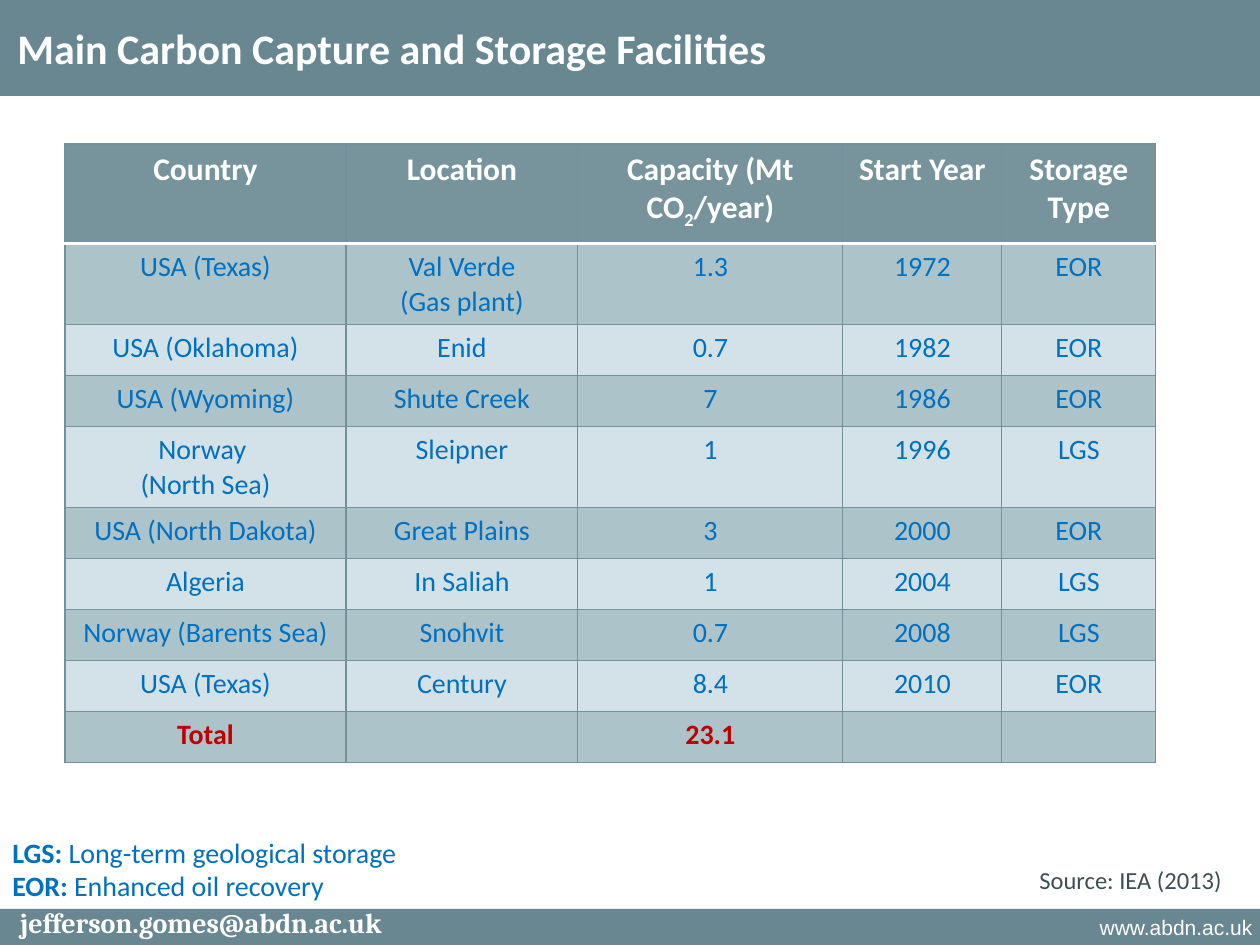
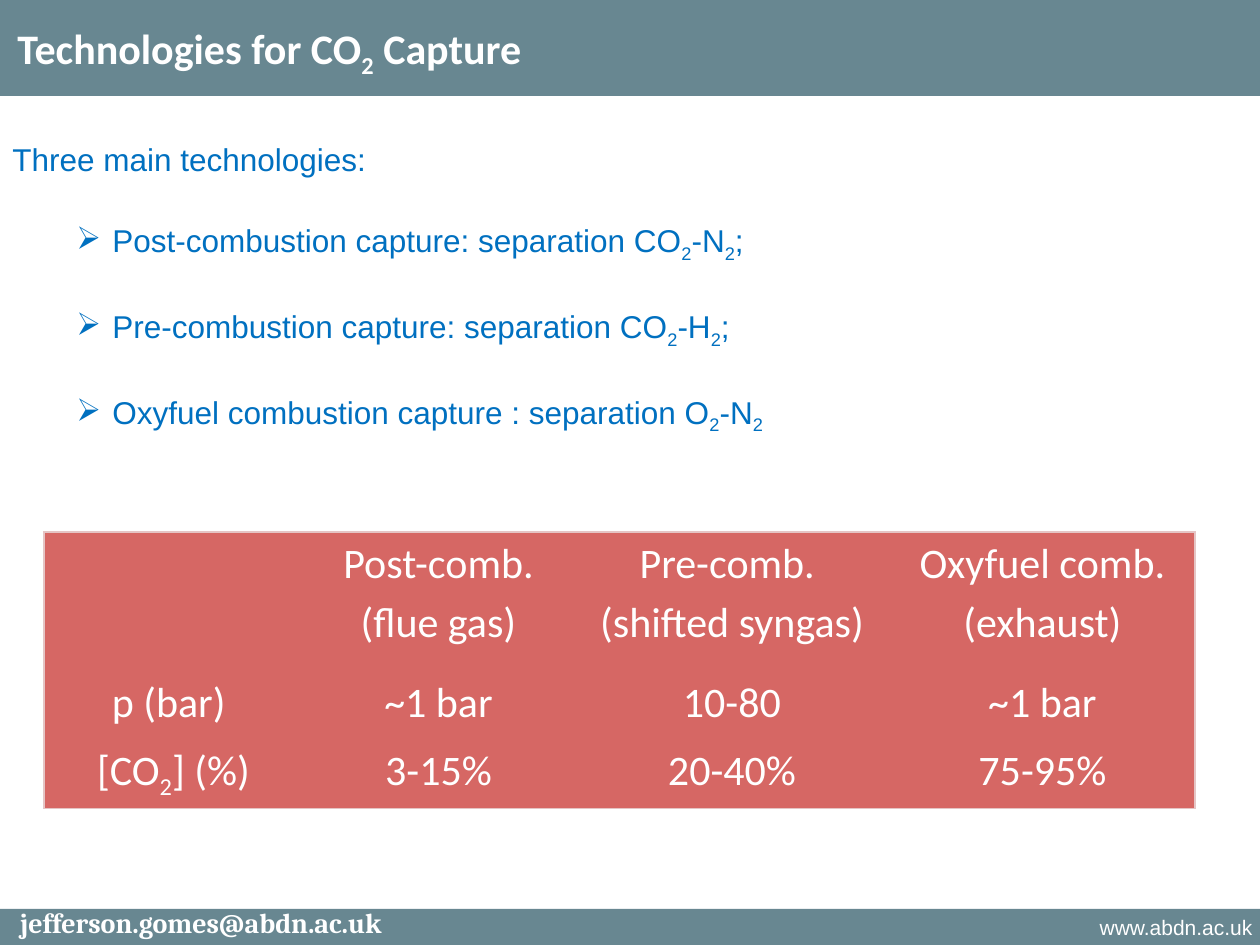
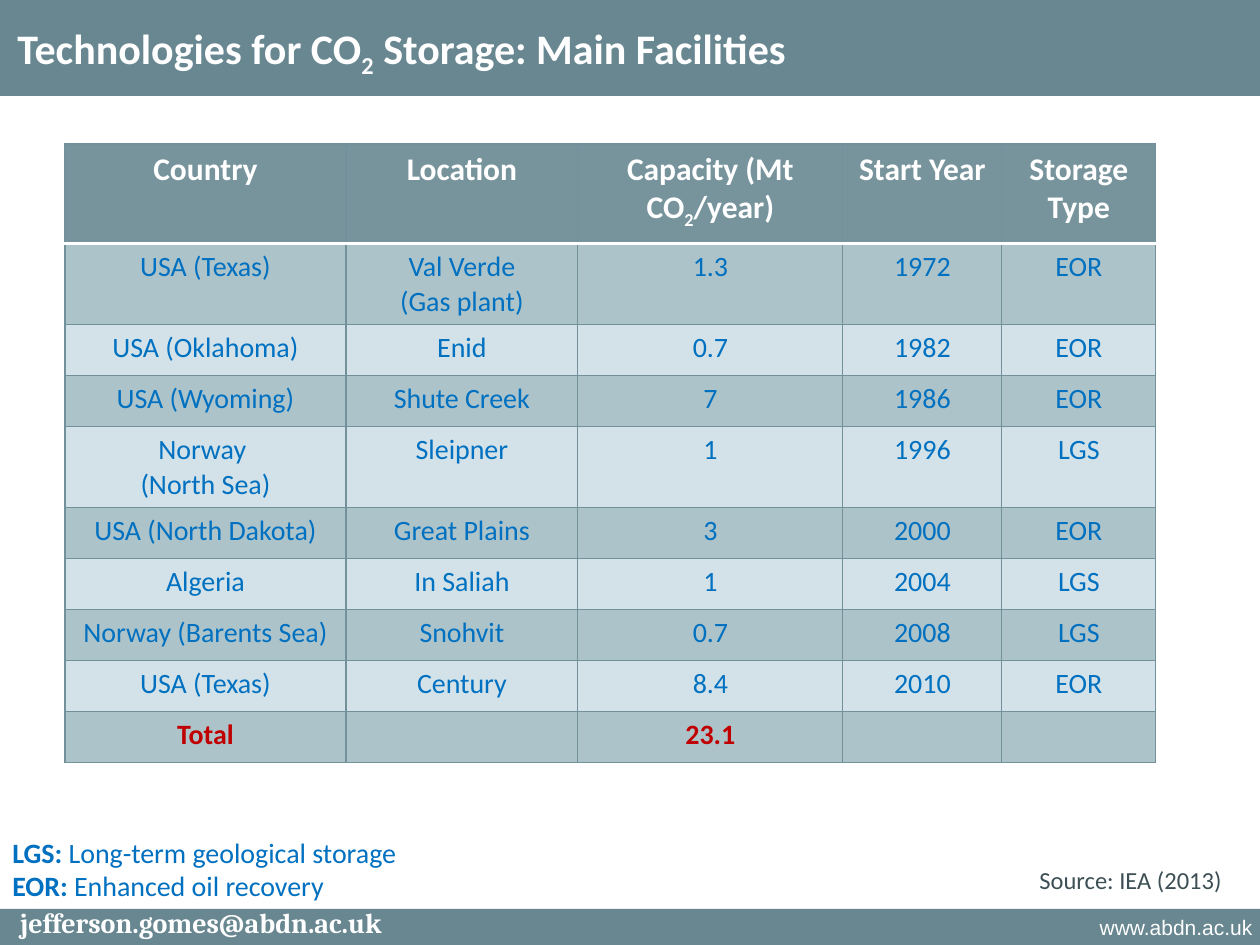
from lxml import etree
from pptx import Presentation
from pptx.dml.color import RGBColor
from pptx.enum import shapes, text
from pptx.oxml.ns import qn
from pptx.util import Emu, Pt

EMU_PER_PX = 914400 / 126
SLIDE_W, SLIDE_H = 1260, 945

BAND, HEADER, GRID = "688791", "77949D", "73919A"
DARK_ROW, LIGHT_ROW = "ADC3CA", "D2E2E8"
WHITE, BLUE, RED, SLATE = "FFFFFF", "0070C0", "C00000", "3D4F55"
CORAL, PINK = "D66764", "E5C5C5"
PLAIN_TABLE_STYLE = "{2D5ABB26-0587-4C30-8999-92F81FD0307C}"

TITLE = {"name": "Calibri", "size": 24, "color": WHITE, "bold": True}
WEB = {"name": "Arial", "size": 12, "color": WHITE}
EMAIL = {"name": "Cambria", "size": 16, "color": WHITE, "bold": True}
LEGEND = {"name": "Calibri", "size": 16, "color": BLUE}
SOURCE = {"name": "Calibri", "size": 14, "color": SLATE}
BODY = {"name": "Arial", "size": 18, "color": BLUE}
COLUMN_HEAD = {"name": "Calibri", "size": 18, "color": WHITE, "bold": True}
FACILITY = {"name": "Calibri", "size": 16, "color": BLUE, "bold": False}
TOTAL = {"name": "Calibri", "size": 16, "color": RED, "bold": True}
CONDITION = {"name": "Calibri", "size": 24, "color": WHITE}

FACILITIES = [
    ("Country", "Location", "Capacity (Mt CO_2_/year)", "Start Year", "Storage Type"),
    ("USA (Texas)", "Val Verde\n(Gas plant)", "1.3", "1972", "EOR"),
    ("USA (Oklahoma)", "Enid", "0.7", "1982", "EOR"),
    ("USA (Wyoming)", "Shute Creek", "7", "1986", "EOR"),
    ("Norway \n(North Sea)", "Sleipner", "1", "1996", "LGS"),
    ("USA (North Dakota)", "Great Plains", "3", "2000", "EOR"),
    ("Algeria", "In Saliah", "1", "2004", "LGS"),
    ("Norway (Barents Sea)", "Snohvit", "0.7", "2008", "LGS"),
    ("USA (Texas)", "Century", "8.4", "2010", "EOR"),
    ("Total", "", "23.1", "", ""),
]
CONDITIONS = [
    ("", "Post-comb.\n(flue gas)", "Pre-comb. \n(shifted syngas)", "Oxyfuel comb.\n(exhaust)"),
    ("p (bar) ", "~1 bar", "10-80", "~1 bar"),
    ("[CO_2_] (%)", "3-15%", "20-40%", "75-95%"),
]
CAPTURE_ROUTES = [
    "Post-combustion capture: separation CO_2_-N_2_;",
    "Pre-combustion capture: separation CO_2_-H_2_;",
    "Oxyfuel combustion capture : separation O_2_-N_2_",
]


def px(length):
    return Emu(round(length * EMU_PER_PX))


def rgb(value):
    return RGBColor.from_string(value)


def add_runs(paragraph, content, style):
    """Add runs; parts between underscores become subscripts."""
    for index, part in enumerate(content.split("_")):
        if not part:
            continue
        run = paragraph.add_run()
        run.text = part
        for key, value in style.items():
            if key == "color":
                run.font.color.rgb = rgb(value)
            else:
                setattr(run.font, key, Pt(value) if key == "size" else value)
        if index % 2:
            run._r.get_or_add_rPr().set("baseline", "-25000")


def add_paragraph(frame, first, **layout):
    paragraph = frame.paragraphs[0] if first else frame.add_paragraph()
    for key, value in layout.items():
        setattr(paragraph, key, value)
    return paragraph


def add_frame(slide, left, top, width, height, wrap=False):
    frame = slide.shapes.add_textbox(px(left), px(top), px(width), px(height)).text_frame
    frame.word_wrap = wrap
    return frame


def add_label(slide, box, content, style, wrap=False, **layout):
    frame = add_frame(slide, *box, wrap=wrap)
    add_runs(add_paragraph(frame, True, **layout), content, style)


def add_band(slide, top, height):
    band = slide.shapes.add_shape(
        shapes.MSO_SHAPE.RECTANGLE, 0, px(top), px(SLIDE_W), px(height))
    band.shadow.inherit = False
    band.fill.solid()
    band.fill.fore_color.rgb = rgb(BAND)
    band.line.fill.background()


def start_slide(deck, title):
    """Add a slide with its bands, title and footer."""
    slide = deck.slides.add_slide(deck.slide_layouts[6])
    add_band(slide, 909, SLIDE_H - 909)
    add_band(slide, 0, 96)
    add_label(slide, (937, 908, 328, 45), "www.abdn.ac.uk", WEB,
              wrap=True, alignment=text.PP_ALIGN.RIGHT)
    add_label(slide, (0, 903, 402, 42), "jefferson.gomes@abdn.ac.uk", EMAIL,
              wrap=True, alignment=text.PP_ALIGN.CENTER, line_spacing=0.9)
    add_label(slide, (5, 16, 800, 63), title, TITLE)
    return slide


def set_borders(cell, borders):
    """Draw the sides in borders, given as side: (colour, points)."""
    properties = cell._tc.get_or_add_tcPr()
    for side in "LRTB":
        if side in borders:
            color, points = borders[side]
            line = etree.SubElement(properties, qn(f"a:ln{side}"), w=str(Pt(points)))
            fill = etree.SubElement(line, qn("a:solidFill"))
            etree.SubElement(fill, qn("a:srgbClr"), val=color)


def fill_cell(cell, content, style, color, borders, gap):
    set_borders(cell, borders)
    cell.fill.solid()
    cell.fill.fore_color.rgb = rgb(color)
    for index, line in enumerate(content.split("\n")):
        paragraph = add_paragraph(cell.text_frame, index == 0,
                                  alignment=text.PP_ALIGN.CENTER)
        if index:
            paragraph.space_before = Pt(gap)
        add_runs(paragraph, line, style)


def add_grid(slide, left, top, widths, heights, rows, look, gap=0):
    """Add a table; look(row, column) gives text style, fill and borders."""
    table = slide.shapes.add_table(
        len(rows), len(widths), px(left), px(top), px(sum(widths)), px(sum(heights))).table
    table.first_row = table.horz_banding = False
    table._tbl.tblPr.find(qn("a:tableStyleId")).text = PLAIN_TABLE_STYLE
    for column, width in zip(table.columns, widths):
        column.width = px(width)
    for row, height in zip(table.rows, heights):
        row.height = px(height)
    for r, row in enumerate(rows):
        for c, content in enumerate(row):
            fill_cell(table.cell(r, c), content, *look(r, c), gap)


def facility_look(row, column):
    borders = dict.fromkeys("LRTB", (GRID, 0.75))
    if row == 0:
        return COLUMN_HEAD, HEADER, borders | {"B": (WHITE, 2)}
    if row == 1:
        borders["T"] = (WHITE, 2)
    style = TOTAL if row == len(FACILITIES) - 1 else FACILITY
    return style, DARK_ROW if row % 2 else LIGHT_ROW, borders


def condition_look(row, column):
    outer = {
        "L": column == 0,
        "R": column == len(CONDITIONS[0]) - 1,
        "T": row == 0,
        "B": row == len(CONDITIONS) - 1,
    }
    return CONDITION, CORAL, {side: (PINK, 0.75) for side, edge in outer.items() if edge}


def add_facilities_slide(deck, title):
    slide = start_slide(deck, title)
    heights = [100] + [81 if "\n" in "".join(row) else 51 for row in FACILITIES[1:]]
    add_grid(slide, 65, 144, [281, 232, 265, 159, 154], heights, FACILITIES, facility_look)
    legend = add_frame(slide, 0, 829, 413, 81)
    meanings = {"LGS:": " Long-term geological storage", "EOR:": " Enhanced oil recovery"}
    for index, (code, meaning) in enumerate(meanings.items()):
        paragraph = add_paragraph(legend, index == 0)
        add_runs(paragraph, code, LEGEND | {"bold": True})
        add_runs(paragraph, meaning, LEGEND)
    add_label(slide, (1027, 859, 209, 43), "Source: IEA (2013)", SOURCE)


def add_bullet(paragraph):
    properties = paragraph._p.get_or_add_pPr()
    properties.set("marL", str(px(100)))
    properties.set("indent", str(px(-36)))
    etree.SubElement(properties, qn("a:buChar"), char="➢")


def add_capture_slide(deck):
    slide = start_slide(deck, "Technologies for CO_2_ Capture")
    routes = add_frame(slide, 0, 96, SLIDE_W, 318, wrap=True)
    add_runs(add_paragraph(routes, True, line_spacing=2.0), "Three main technologies:", BODY)
    for route in CAPTURE_ROUTES:
        paragraph = add_paragraph(routes, False, level=1, line_spacing=2.0)
        add_bullet(paragraph)
        add_runs(paragraph, route, BODY)
    add_grid(slide, 44, 532, [259, 271, 316, 305], [139, 68, 68],
             CONDITIONS, condition_look, gap=4.8)


def main():
    deck = Presentation()
    deck.slide_width, deck.slide_height = px(SLIDE_W), px(SLIDE_H)
    add_facilities_slide(deck, "Main Carbon Capture and Storage Facilities")
    add_capture_slide(deck)
    add_facilities_slide(deck, "Technologies for CO_2_ Storage: Main Facilities")
    deck.save("out.pptx")


if __name__ == "__main__":
    main()
